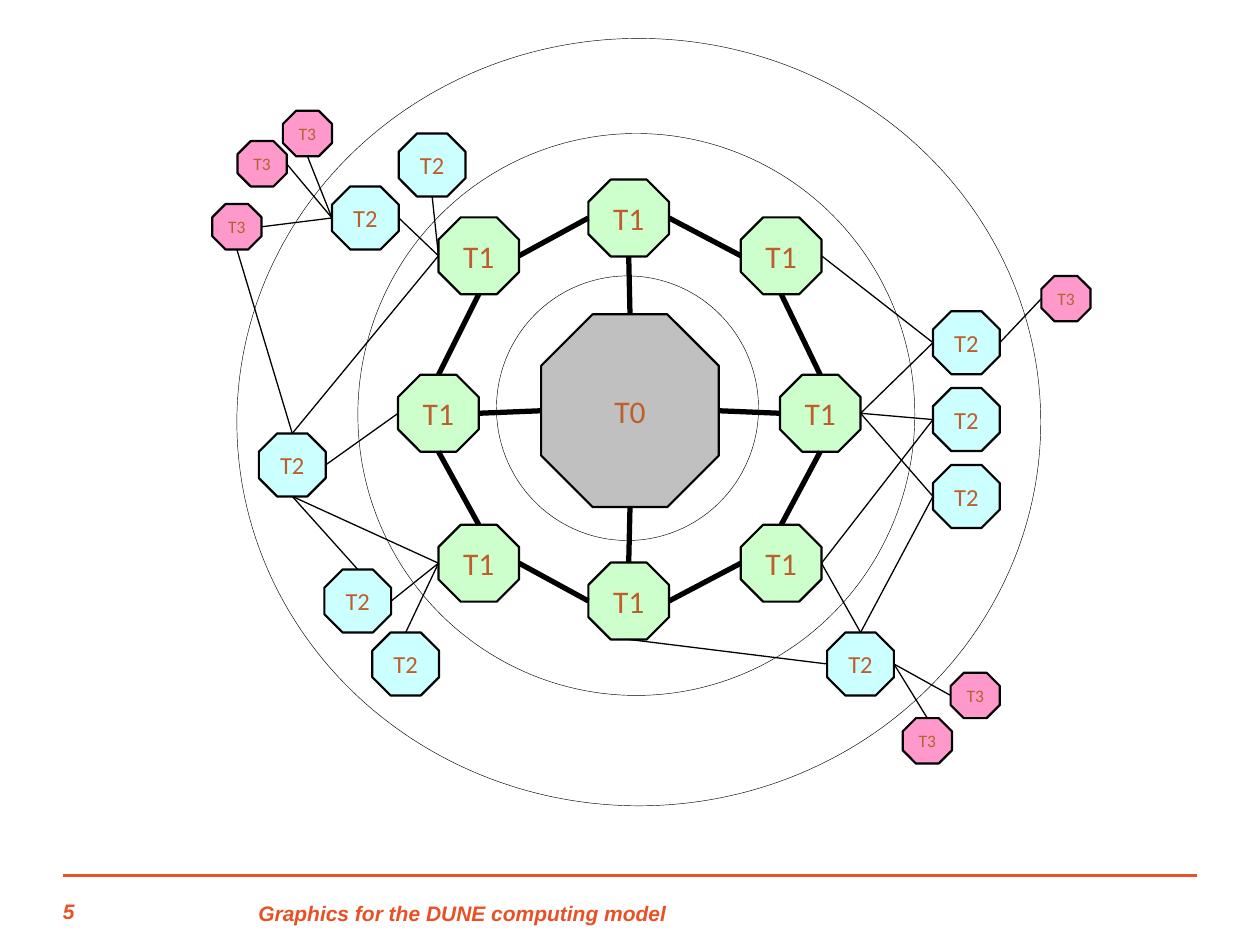
from collections import namedtuple
from dataclasses import dataclass

from pptx import Presentation
from pptx.dml.color import RGBColor
from pptx.enum import shapes, text
from pptx.oxml import ns, xmlchemy
from pptx.util import Inches, Pt

Box = namedtuple("Box", "left top width height")
Tier = namedtuple("Tier", "label width height fill size")


@dataclass(frozen=True)
class Theme:
    accent: str = "E95125"
    label: str = "BC5F2B"
    outline: str = "000000"
    footer_font: str = "Arial"
    node_font: str = "Calibri"
    footer_size: float = 12
    rule: float = 2
    node_line: float = 1.25
    ring_line: float = 0.25
    backbone: float = 3
    branch: float = 0.75


THEME = Theme()
CORE = Tier("T0", 1.41, 1.53, "C0C0C0", 18)
REGION = Tier("T1", 0.64, 0.61, "CCFFCC", 18)
SITE = Tier("T2", 0.53, 0.5, "CCFFFF", 14)
GROUP = Tier("T3", 0.39, 0.36, "FF99CC", 10)

# Node centres, measured from the centre of the diagram.
INNER_NODES = {
    CORE: {"core": (0, 0.01)},
    REGION: {
        "n": (-0.01, -1.52), "ne": (1.2, -1.22), "e": (1.51, 0.03), "se": (1.2, 1.22),
        "s": (-0.01, 1.52), "sw": (-1.2, 1.22), "w": (-1.52, 0.03), "nw": (-1.2, -1.22),
    },
    SITE: {
        "nw site": (-1.57, -1.94), "far nw site": (-2.1, -1.52), "w site": (-2.68, 0.44),
        "far sw site": (-2.16, 1.52), "sw site": (-1.78, 2.02), "se site": (1.83, 2.02),
        **{f"e site {row}": (2.67, -0.53 + 0.61 * row) for row in range(3)},
    },
}
OUTER_NODES = {
    GROUP: {
        "nw group 0": (-2.56, -2.19), "nw group 1": (-2.92, -1.95),
        "nw group 2": (-3.12, -1.45), "e group": (3.46, -0.88),
        "se group 0": (2.74, 2.27), "se group 1": (2.36, 2.63),
    },
}
# Centre offset, width and height.
RINGS = [
    (0.05, 0.04, 4.42, 4.46),
    (-0.02, -0.01, 2.08, 2.1),
    (0.07, 0.1, 6.38, 6.09),
]
SIDES = {"left": (-0.5, 0), "right": (0.5, 0), "top": (0, -0.5), "bottom": (0, 0.5)}

BACKBONE = [
    ("core", "top", "n", "bottom"), ("core", "right", "e", "left"),
    ("core", "bottom", "s", "top"), ("core", "left", "w", "right"),
    ("n", "right", "ne", "left"), ("ne", "bottom", "e", "top"),
    ("e", "bottom", "se", "top"), ("se", "left", "s", "right"),
    ("s", "left", "sw", "right"), ("sw", "top", "w", "bottom"),
    ("w", "top", "nw", "bottom"), ("nw", "right", "n", "left"),
]
BRANCHES = [
    ("nw", "left", "far nw site", "right"), ("nw", "left", "nw site", "bottom"),
    ("nw", "left", "w site", "top"), ("w", "left", "w site", "right"),
    ("sw", "left", "w site", "bottom"), ("sw", "left", "far sw site", "right"),
    ("sw", "left", "sw site", "top"), ("w site", "bottom", "far sw site", "top"),
    ("s", "bottom", "se site", "left"), ("se", "right", "se site", "top"),
    ("se", "right", "e site 1", "left"), ("ne", "right", "e site 0", "left"),
    *[("e", "right", f"e site {row}", "left") for row in range(3)],
    ("se site", "top", "e site 2", "left"),
    ("far nw site", "left", "nw group 0", "bottom"),
    ("far nw site", "left", "nw group 1", "right"),
    ("far nw site", "left", "nw group 2", "right"),
    ("w site", "top", "nw group 2", "bottom"),
    ("e site 0", "right", "e group", "left"),
    ("se site", "right", "se group 0", "left"),
    ("se site", "right", "se group 1", "top"),
]


def color(value):
    return RGBColor.from_string(value)


def add_line(page, start, end, line_color, width):
    ends = [Inches(value) for value in (*start, *end)]
    line = page.shapes.add_connector(shapes.MSO_CONNECTOR.STRAIGHT, *ends)
    line.line.color.rgb = color(line_color)
    line.line.width = Pt(width)
    properties = line._element.spPr
    properties.append(xmlchemy.OxmlElement("a:effectLst"))


def add_centred(page, kind, box, line_width):
    """Add an outlined shape whose box gives its centre, width and height."""
    x, y, width, height = box
    shape = page.shapes.add_shape(
        kind, Inches(x - width / 2), Inches(y - height / 2), Inches(width), Inches(height))
    shape.shadow.inherit = False
    shape.line.color.rgb = color(THEME.outline)
    shape.line.width = Pt(line_width)
    return shape


def add_node(page, tier, centre):
    node = add_centred(page, shapes.MSO_SHAPE.OCTAGON,
                       Box(*centre, tier.width, tier.height), THEME.node_line)
    node.adjustments[0] = 0.29
    node.fill.solid()
    node.fill.fore_color.rgb = color(tier.fill)
    frame = node.text_frame
    frame.word_wrap = False
    frame.vertical_anchor = text.MSO_ANCHOR.MIDDLE
    para = frame.paragraphs[0]
    para.text = tier.label
    para.alignment = text.PP_ALIGN.CENTER
    para.font.name = THEME.node_font
    para.font.size = Pt(tier.size)
    para.font.color.rgb = color(THEME.label)


def add_diagram(page, box):
    middle_x = box.left + box.width / 2
    middle_y = box.top + box.height / 2
    placed = {}

    def place_nodes(tiers):
        for tier, nodes in tiers.items():
            for name, (x, y) in nodes.items():
                centre = (middle_x + x, middle_y + y)
                placed[name] = (tier, centre)
                add_node(page, tier, centre)

    def anchor(name, side):
        tier, (x, y) = placed[name]
        across, down = SIDES[side]
        return x + across * tier.width, y + down * tier.height

    place_nodes(INNER_NODES)
    for x, y, width, height in RINGS:
        ring = add_centred(page, shapes.MSO_SHAPE.OVAL,
                           Box(middle_x + x, middle_y + y, width, height), THEME.ring_line)
        ring.fill.background()
    place_nodes(OUTER_NODES)
    for links, width in ((BACKBONE, THEME.backbone), (BRANCHES, THEME.branch)):
        for first, first_side, second, second_side in links:
            add_line(page, anchor(first, first_side), anchor(second, second_side),
                     THEME.outline, width)


def add_footer(page, box):
    add_line(page, (box.left, box.top), (box.left + box.width, box.top),
             THEME.accent, THEME.rule)
    entries = [
        ("Graphics for the DUNE computing model", 1.55, 5.35, 0.19),
        ("5", 0, 0.47, 0.17),
    ]
    for words, offset, width, height in entries:
        entry = page.shapes.add_textbox(Inches(box.left + offset), Inches(box.top + 0.21),
                                        Inches(width), Inches(height))
        frame = entry.text_frame
        frame.word_wrap = True
        frame.vertical_anchor = text.MSO_ANCHOR.BOTTOM
        frame.margin_left = frame.margin_right = frame.margin_top = frame.margin_bottom = 0
        para = frame.paragraphs[0]
        para.text = words
        para.font.name = THEME.footer_font
        para.font.size = Pt(THEME.footer_size)
        para.font.bold = para.font.italic = True
        para.font.color.rgb = color(THEME.accent)


def main():
    deck = Presentation()
    deck.slide_width, deck.slide_height = Inches(10), Inches(7.5)
    page = deck.slides.add_slide(deck.slide_layouts[6])
    add_diagram(page, Box(1, 0, 8, 6.5))
    add_footer(page, Box(0.5, 6.95, 9, 0.4))
    deck.save("out.pptx")


if __name__ == "__main__":
    main()
